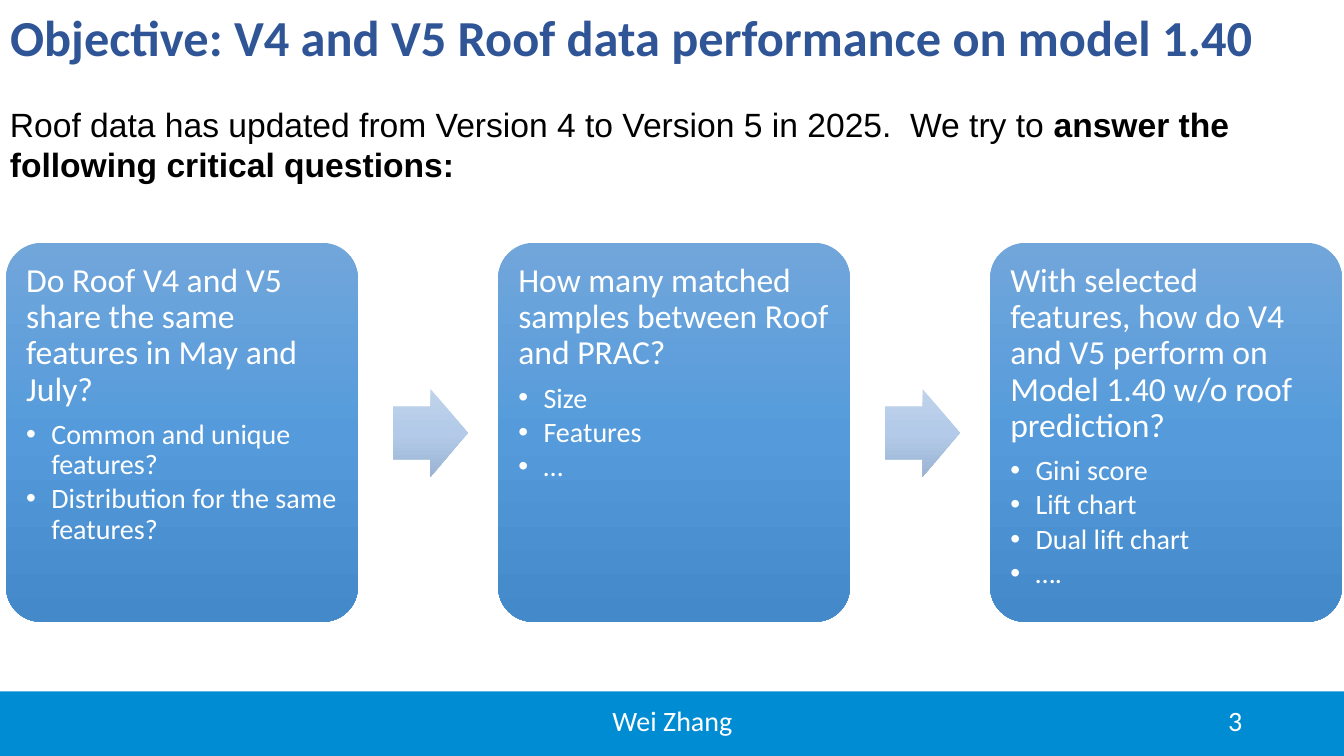
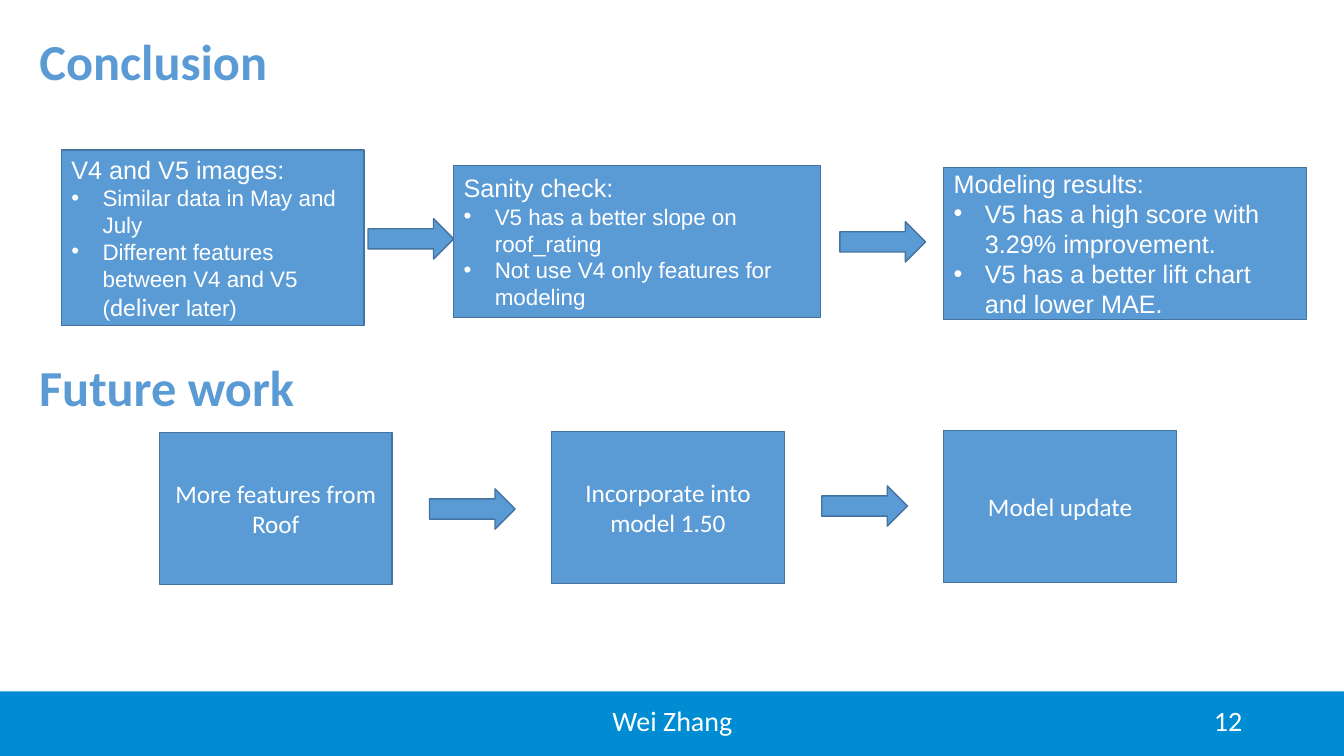
from copy import deepcopy
from dataclasses import dataclass

from pptx import Presentation
from pptx import util as u
from pptx.dml.color import RGBColor
from pptx.enum import shapes, text
from pptx.oxml import ns, xmlchemy

Inches, Pt = u.Inches, u.Pt
Align, Anchor, Preset = text.PP_ALIGN, text.MSO_ANCHOR, shapes.MSO_SHAPE


@dataclass(frozen=True)
class Theme:
    heading_font: str = "Calibri"
    body_font: str = "Arial"
    white: str = "FFFFFF"
    black: str = "000000"
    band: str = "008CD3"
    navy: str = "2F5597"
    blue: str = "5B9BD5"
    outline: str = "43739E"
    card_blend: tuple = ("71A6DB", "559BDB", "448ACA")
    arrow_blend: tuple = ("C0D2EB", "B3CBE9", "9BB4D3")
    title_size: int = 36
    lead_size: int = 24
    detail_size: int = 20
    box_size: int = 18
    small_size: int = 16


THEME = Theme()


def color(code):
    return RGBColor.from_string(code)


def place(shape, left, top, width, height):
    shape.left, shape.top = Inches(left), Inches(top)
    shape.width, shape.height = Inches(width), Inches(height)


def set_frame(shape, anchor=Anchor.TOP):
    frame = shape.text_frame
    frame.word_wrap = True
    frame.auto_size = text.MSO_AUTO_SIZE.NONE
    frame.vertical_anchor = anchor
    return frame


def add_bullet(para, indent):
    props = para._p.get_or_add_pPr()
    props.set("marL", str(Inches(indent)))
    props.set("indent", str(-Inches(indent)))
    for tag, name, value in (("a:buFont", "typeface", "Arial"), ("a:buChar", "char", "•")):
        element = xmlchemy.OxmlElement(tag)
        element.set(name, value)
        props.append(element)


def style_font(font, name, size, code, bold=False):
    font.name, font.size, font.bold = name, Pt(size), bold
    font.color.rgb = color(code)


def write(frame, content, name, size, code=THEME.white, align=Align.LEFT,
          indent=0, bold=False, line=None, after=None):
    para = frame.paragraphs[0]
    if para.runs:
        para = frame.add_paragraph()
    para.alignment = align
    if line:
        para.line_spacing = line
    if after:
        para.space_after = Pt(after)
    if indent:
        add_bullet(para, indent)
    style_font(para.font, name, size, code, bold)
    for piece in [content] if isinstance(content, str) else content:
        wording, changes = (piece, {}) if isinstance(piece, str) else piece
        span = para.add_run()
        span.text = wording
        for key, value in changes.items():
            setattr(span.font, key, value)


def add_text(page, bounds, content, name, size, code=THEME.white, align=Align.LEFT,
             anchor=Anchor.TOP, bold=False):
    box = page.shapes.add_textbox(*map(Inches, bounds))
    write(set_frame(box, anchor), content, name, size, code, align, bold=bold)


def add_preset(page, preset, bounds, fill, outline=None):
    shape = page.shapes.add_shape(preset, *map(Inches, bounds))
    shape.shadow.inherit = False
    shape.fill.solid()
    shape.fill.fore_color.rgb = color(fill)
    if outline:
        shape.line.color.rgb = color(outline)
        shape.line.width = Pt(1)
    else:
        shape.line.fill.background()
    return shape


def blend(shape, codes):
    shape.fill.gradient()
    shape.fill.gradient_angle = 270
    stops = shape._element.spPr.find(".//" + ns.qn("a:gsLst"))
    stops.insert(1, deepcopy(stops[0]))
    for index, (stop, code) in enumerate(zip(shape.fill.gradient_stops, codes)):
        stop.position = index / 2
        stop.color.rgb = color(code)


def add_page(deck, title, bounds, title_color, number):
    page = deck.slides.add_slide(deck.slide_layouts[5])
    heading = page.shapes.title
    place(heading, *bounds)
    write(set_frame(heading), title, THEME.heading_font, THEME.title_size, title_color, bold=True)
    add_preset(page, Preset.RECTANGLE, (0, 6.86, 13.33, 0.64), THEME.band)
    for left, width, label, align in ((9.42, 3, number, Align.RIGHT),
                                      (4.42, 4.5, "Wei Zhang", Align.CENTER)):
        add_text(page, (left, 6.95, width, 0.4), label, THEME.heading_font,
                 THEME.detail_size, align=align, anchor=Anchor.MIDDLE)
    return page


def add_question_card(page, left, question, details):
    card = add_preset(page, Preset.ROUNDED_RECTANGLE, (left, 2.41, 3.49, 3.76), THEME.blue)
    card.adjustments[0] = 0.1
    blend(card, THEME.card_blend)
    frame = set_frame(card)
    frame.margin_left = frame.margin_right = Inches(0.1)
    frame.margin_top = frame.margin_bottom = Inches(0.1)
    write(frame, question, THEME.heading_font, THEME.lead_size, line=0.9, after=8.4)
    for detail in details:
        write(frame, detail, THEME.heading_font, THEME.detail_size,
              indent=0.25, line=0.9, after=3)


def add_blend_arrow(page, left):
    arrow = add_preset(page, Preset.RIGHT_ARROW, (left, 3.86, 0.74, 0.87), THEME.blue)
    arrow.adjustments[0] = 0.6
    blend(arrow, THEME.arrow_blend)


def add_box(page, bounds):
    box = add_preset(page, Preset.RECTANGLE, bounds, THEME.blue, THEME.outline)
    return set_frame(box, Anchor.MIDDLE)


def add_finding(page, bounds, heading, details, size):
    frame = add_box(page, bounds)
    write(frame, heading, THEME.body_font, THEME.box_size)
    for detail in details:
        write(frame, detail, THEME.body_font, size, indent=0.31)


def add_arrow(page, left, top):
    add_preset(page, Preset.RIGHT_ARROW, (left, top, 0.85, 0.4), THEME.blue, THEME.outline)


def build_objective(deck):
    page = add_page(deck, "Objective: V4 and V5 Roof data performance on model 1.40",
                    (0, 0.01, 12.91, 0.71), THEME.navy, "3")
    add_text(page, (0, 0.98, 13.33, 0.91),
             ["Roof data has updated from Version 4 to Version 5 in 2025.  We try to ",
              ("answer the following critical questions:", {"bold": True})],
             THEME.body_font, THEME.lead_size, THEME.black)
    questions = (
        ("Do Roof V4 and V5 share the same features in May and July?",
         ("Common and unique features?", "Distribution for the same features?")),
        ("How many matched samples between Roof and PRAC?", ("Size", "Features", "…")),
        ("With selected features, how do V4 and V5 perform on Model 1.40 w/o roof prediction?",
         ("Gini score", "Lift chart", "Dual lift chart", "….")),
    )
    for index, (question, details) in enumerate(questions):
        left = 0.06 + 4.88 * index
        add_question_card(page, left, question, details)
        if index < len(questions) - 1:
            add_blend_arrow(page, left + 3.84)


def build_conclusion(deck):
    page = add_page(deck, "Conclusion", (0.29, 0.25, 11.35, 0.71), THEME.blue, "12")
    deliver = ("deliver", {"name": THEME.heading_font, "size": Pt(THEME.box_size)})
    findings = (
        ((0.61, 1.49, 3, 1.74), "V4 and V5 images:",
         ("Similar data in May and July",
          ["Different features between V4 and V5 (", deliver, " later)"]), THEME.small_size),
        ((4.5, 1.64, 3.64, 1.51), "Sanity check:",
         ("V5 has a better slope on roof_rating",
          "Not use V4 only features for modeling"), THEME.small_size),
        ((9.36, 1.66, 3.6, 1.51), "Modeling results:",
         ("V5 has a high score with 3.29% improvement.",
          "V5 has a better lift chart and lower MAE."), THEME.box_size),
    )
    for finding in findings:
        add_finding(page, *finding)
    add_arrow(page, 3.65, 2.17)
    add_arrow(page, 8.33, 2.2)

    add_text(page, (0.29, 3.48, 6.67, 0.71), "Future work", THEME.heading_font,
             THEME.title_size, THEME.blue, bold=True)
    steps = ("More features from Roof", "Incorporate into model 1.50", "Model update")
    for index, step in enumerate(steps):
        left = 1.58 + 3.89 * index
        frame = add_box(page, (left, 4.29 - 0.01 * index, 2.31, 1.51))
        write(frame, step, THEME.heading_font, THEME.box_size, align=Align.CENTER)
        if index < len(steps) - 1:
            add_arrow(page, left + 2.68, 4.85 - 0.03 * index)


def main():
    deck = Presentation()
    deck.slide_width, deck.slide_height = Inches(13.33), Inches(7.5)
    build_objective(deck)
    build_conclusion(deck)
    deck.save("out.pptx")


if __name__ == "__main__":
    main()
